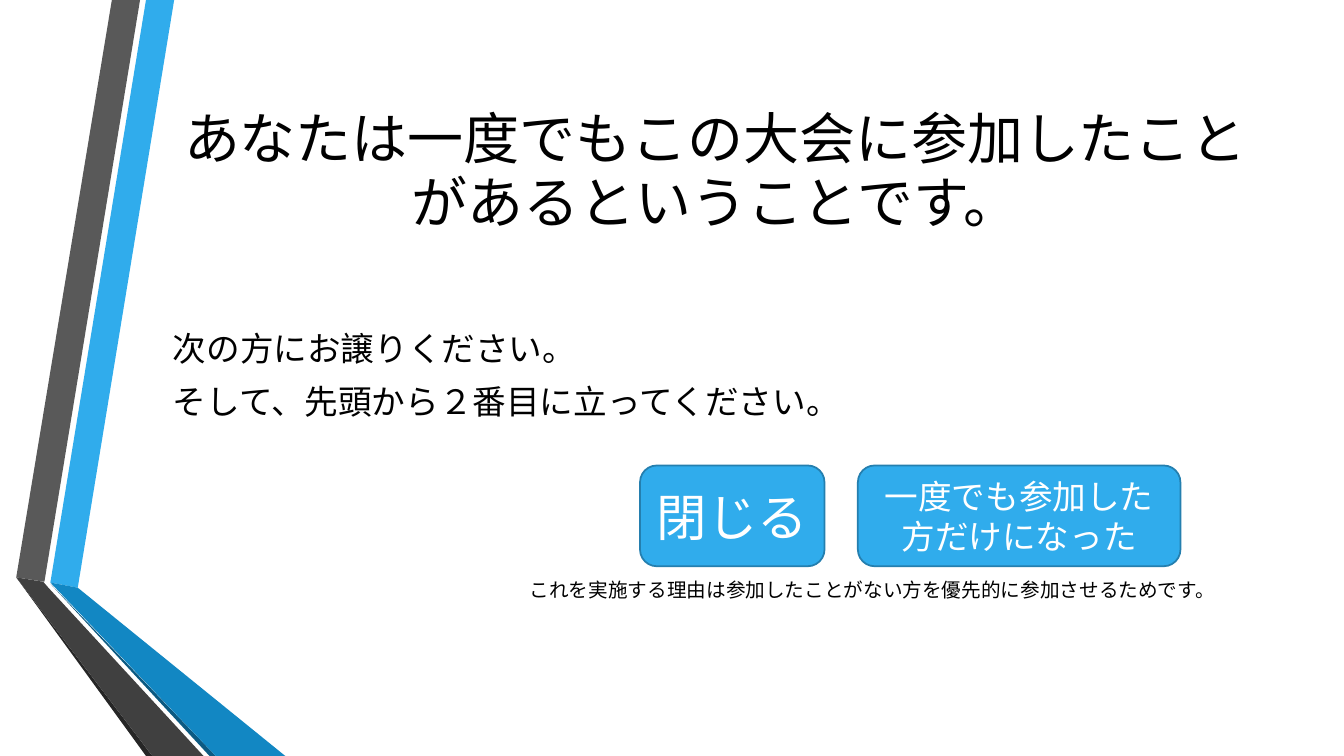
from pptx import Presentation
from pptx import util as u
from pptx.dml import color
from pptx.enum import shapes, text

COLORS = {
    "sky": "30ACEC", "sky_edge": "247FAF", "ocean": "1287C3", "navy": "0C5A82",
    "grey": "595959", "charcoal": "404040", "soot": "262626",
    "black": "000000", "white": "FFFFFF",
}

# Ribbon outlines in centimetres, from back to front
RIBBONS = [
    ("sky", [(1.27, 14.68), (1.96, 14.81), (4.39, 0), (3.68, 0)]),
    ("grey", [(3.53, 0), (2.82, 0), (0.41, 14.55), (1.12, 14.66)]),
    ("soot", [(0.41, 14.55), (3.68, 19.05), (3.84, 19.05)]),
    ("navy", [(1.27, 14.71), (5.28, 19.05), (5.44, 19.05)]),
    ("ocean", [(1.27, 14.68), (5.44, 19.05), (7.19, 19.05), (1.96, 14.81)]),
    ("charcoal", [(5.13, 19.05), (1.22, 14.81), (1.09, 14.66),
                  (0.41, 14.55), (3.84, 19.05)]),
]


class Painter:
    """Holds the style and the current page."""

    font = "Calibri"

    def __init__(self, page):
        """Remember the page to draw on."""
        self.page = page

    def rgb(self, name):
        """Return the named colour."""
        return color.RGBColor.from_string(COLORS[name])

    def ribbon(self, fill, points):
        """Draw a closed, filled outline."""
        corners = [(u.Cm(x), u.Cm(y)) for x, y in points]
        builder = self.page.shapes.build_freeform(*corners[0])
        builder.add_line_segments(corners[1:], close=True)
        band = builder.convert_to_shape()
        band.shadow.inherit = False
        band.fill.solid()
        band.fill.fore_color.rgb = self.rgb(fill)
        band.line.fill.background()

    def add_lines(self, box, lines, size, ink, align, anchor, spacing=None, after=0):
        """Fill a box with one paragraph per line."""
        frame = box.text_frame
        frame.word_wrap = True
        frame.vertical_anchor = anchor
        for number, line in enumerate(lines):
            para = frame.add_paragraph() if number else frame.paragraphs[0]
            para.alignment = align
            para.space_after = u.Pt(after)
            if spacing:
                para.line_spacing = spacing
            span = para.add_run()
            span.text = line
            span.font.name = self.font
            span.font.size = u.Pt(size)
            span.font.color.rgb = self.rgb(ink)

    def label(self, place, lines, size, align=text.PP_ALIGN.LEFT,
              anchor=text.MSO_ANCHOR.TOP, **gaps):
        """Add a plain text box."""
        box = self.page.shapes.add_textbox(*map(u.Cm, place))
        self.add_lines(box, lines, size, "black", align, anchor, **gaps)

    def button(self, left, width, caption, size):
        """Add a rounded button on the common button row."""
        box = self.page.shapes.add_shape(
            shapes.MSO_SHAPE.ROUNDED_RECTANGLE,
            u.Cm(left), u.Cm(11.73), u.Cm(width), u.Cm(2.54))
        box.shadow.inherit = False
        box.fill.solid()
        box.fill.fore_color.rgb = self.rgb("sky")
        box.line.color.rgb = self.rgb("sky_edge")
        box.line.width = u.Pt(1.25)
        self.add_lines(box, [caption], size, "white",
                       text.PP_ALIGN.CENTER, text.MSO_ANCHOR.MIDDLE)


def main():
    """Build and save the deck."""
    deck = Presentation()
    deck.slide_width, deck.slide_height = u.Cm(33.87), u.Cm(19.05)
    painter = Painter(deck.slides.add_slide(deck.slide_layouts[6]))

    for fill, points in RIBBONS:
        painter.ribbon(fill, points)

    painter.label((4.11, 1.9, 27.84, 4.88),
                  ["あなたは一度でもこの大会に参加したことがあるということです。"], 40,
                  text.PP_ALIGN.CENTER, text.MSO_ANCHOR.MIDDLE, spacing=0.95)
    painter.label((4.11, 8.13, 27.84, 2.9),
                  ["次の方にお譲りください。", "そして、先頭から２番目に立ってください。"],
                  24, after=9)
    painter.label((13.1, 14.45, 18.85, 0.9),
                  ["これを実施する理由は参加したことがない方を優先的に参加させるためです。"], 14)

    painter.button(21.62, 8.13, "一度でも参加した方だけになった", 24)
    painter.button(16.13, 4.65, "閉じる", 36)
    deck.save("out.pptx")


main()
